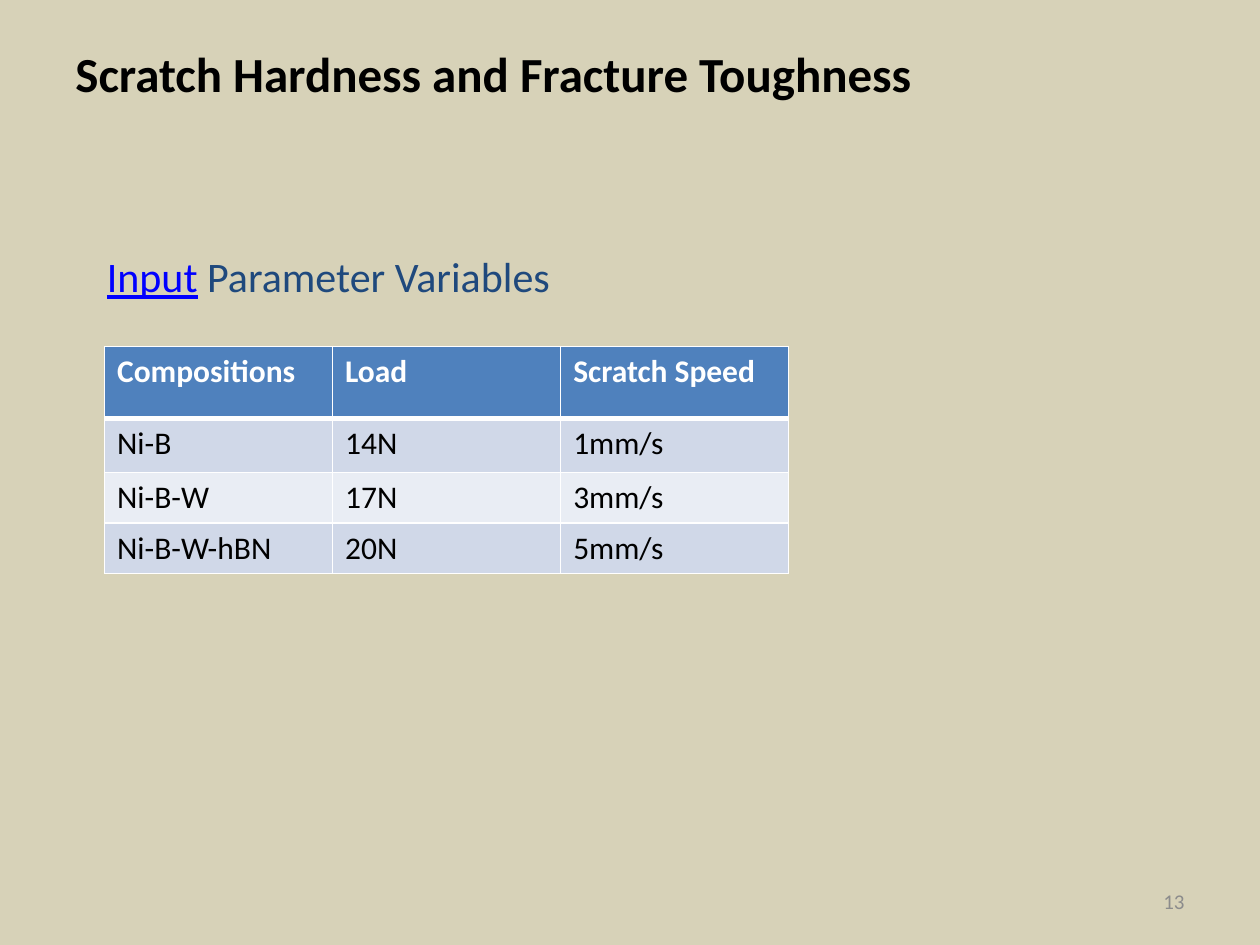
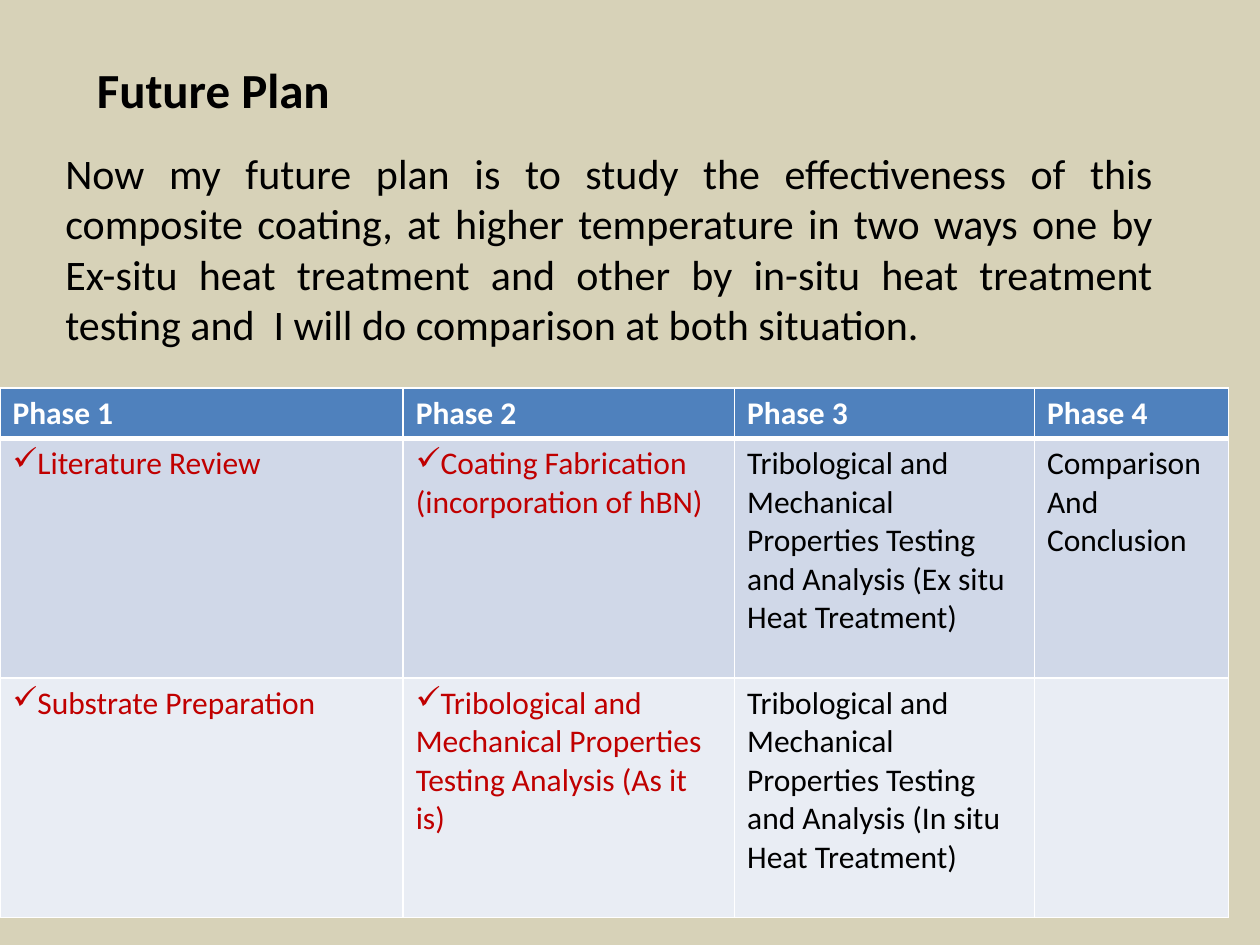
from lxml import etree
from pptx import Presentation
from pptx.dml.color import RGBColor
from pptx.enum.text import MSO_ANCHOR, PP_ALIGN
from pptx.oxml.ns import qn
from pptx.util import Inches, Pt

RIGHT, JUSTIFY = PP_ALIGN.RIGHT, PP_ALIGN.JUSTIFY
TOP, MIDDLE = MSO_ANCHOR.TOP, MSO_ANCHOR.MIDDLE

COLORS = {
    "background": "D7D2B8",
    "text": "000000",
    "subtitle": "1F497D",
    "input": "0000FF",
    "number": "8C8C8C",
    "white": "FFFFFF",
    "header": "4F81BD",
    "odd row": "D0D8E8",
    "even row": "E9EDF4",
    "done": "C00000",
}
FORMATS = {
    "title": {"size": Pt(28), "bold": True},
    "body": {"size": Pt(24)},
    "input": {"size": Pt(24), "underline": True},
    "number": {"size": Pt(12)},
    "header": {"size": Pt(18), "bold": True},
    "cell": {"size": Pt(18), "bold": False},
}
CHECK = "✓"


def rgb(color):
    return RGBColor.from_string(COLORS[color])


class SlideBuilder:
    font_name = "Calibri"

    def __init__(self, deck):
        self.deck = deck
        self.slide = None

    def new_slide(self):
        self.slide = self.deck.slides.add_slide(self.deck.slide_layouts[6])
        fill = self.slide.background.fill
        fill.solid()
        fill.fore_color.rgb = rgb("background")

    def add_span(self, para, text, style, color):
        span = para.add_run()
        span.text = text
        for name, value in FORMATS[style].items():
            setattr(span.font, name, value)
        span.font.name = self.font_name
        span.font.color.rgb = rgb(color)

    def add_text(self, place, spans, align=None, anchor=TOP):
        """Add a one-paragraph box; each span is (text, style, color)."""
        box = self.slide.shapes.add_textbox(*map(Inches, place))
        frame = box.text_frame
        frame.word_wrap = True
        frame.vertical_anchor = anchor
        para = frame.paragraphs[0]
        para.alignment = align
        for span in spans:
            self.add_span(para, *span)

    def add_title(self, left, top, width, text):
        self.add_text((left, top, width, 0.66), [(text, "title", "text")])

    def add_bullet(self, para):
        properties = para._p.get_or_add_pPr()
        properties.set("marL", "0")
        properties.set("indent", "0")
        etree.SubElement(properties, qn("a:buChar"), char=CHECK)

    def add_borders(self, cell, widths):
        """Draw white left, right, top and bottom borders, widths in points."""
        properties = cell._tc.get_or_add_tcPr()
        for side, width in zip("LRTB", widths):
            line = etree.SubElement(properties, qn(f"a:ln{side}"), w=str(Pt(width)))
            fill = etree.SubElement(line, qn("a:solidFill"))
            etree.SubElement(fill, qn("a:srgbClr"), val=COLORS["white"])

    def fill_cell(self, cell, text, row):
        """Write a cell; a leading check mark becomes the bullet of a done task."""
        is_header = row == 0
        widths = (1, 1, 3 if row == 1 else 1, 3 if is_header else 1)
        self.add_borders(cell, widths)
        cell.fill.solid()
        band = "header" if is_header else "odd row" if row % 2 else "even row"
        cell.fill.fore_color.rgb = rgb(band)
        if not text:
            return
        done = text.startswith(CHECK)
        color = "white" if is_header else "done" if done else "text"
        for index, line in enumerate(text.removeprefix(CHECK).split("\n")):
            frame = cell.text_frame
            para = frame.add_paragraph() if index else frame.paragraphs[0]
            if done and index == 0:
                self.add_bullet(para)
            self.add_span(para, line, "header" if is_header else "cell", color)

    def add_table(self, left, top, widths, heights, rows):
        place = (left, top, sum(widths), sum(heights))
        table = self.slide.shapes.add_table(
            len(rows), len(widths), *map(Inches, place)).table
        for column, width in zip(table.columns, widths):
            column.width = Inches(width)
        for index, (height, texts) in enumerate(zip(heights, rows)):
            table.rows[index].height = Inches(height)
            for cell, text in zip(table.rows[index].cells, texts):
                self.fill_cell(cell, text, index)


def build_parameters(builder):
    builder.new_slide()
    builder.add_text((7.17, 6.95, 2.33, 0.4), [("13", "number", "number")],
                     RIGHT, MIDDLE)
    builder.add_title(0.5, 0.3, 6.92, "Scratch Hardness and Fracture Toughness")
    builder.add_text((0.75, 1.94, 3.83, 0.81), [
        ("Input", "input", "input"),
        (" Parameter Variables", "body", "subtitle"),
    ])
    builder.add_table(0.83, 2.75, [1.81] * 3, [0.57, 0.43, 0.4, 0.4], [
        ("Compositions", "Load", "Scratch Speed"),
        ("Ni-B", "14N", "1mm/s"),
        ("Ni-B-W", "17N", "3mm/s"),
        ("Ni-B-W-hBN", "20N", "5mm/s"),
    ])


def build_future_plan(builder):
    testing = "Tribological and Mechanical Properties Testing"
    builder.new_slide()
    builder.add_title(0.67, 0.42, 2.92, "Future Plan")
    builder.add_table(0, 3.08, [3.2, 2.63, 2.38, 1.54], [0.4, 1.9, 1.9], [
        [f"Phase {number}" for number in range(1, 5)],
        (f"{CHECK}Literature Review",
         f"{CHECK}Coating Fabrication\n(incorporation of hBN)",
         f"{testing} and Analysis (Ex situ Heat Treatment)",
         "Comparison\nAnd Conclusion"),
        (f"{CHECK}Substrate Preparation",
         f"{CHECK}{testing} Analysis (As it is)",
         f"{testing} and Analysis (In situ Heat Treatment)",
         ""),
    ])
    plan = (
        "Now my future plan is to study the effectiveness of this composite "
        "coating, at higher temperature in two ways one by Ex-situ heat "
        "treatment and other by in-situ heat treatment testing and  I will do "
        "comparison at both situation."
    )
    builder.add_text((0.42, 1.12, 8.83, 1.72), [(plan, "body", "text")], JUSTIFY)


def main():
    deck = Presentation()
    deck.slide_width, deck.slide_height = Inches(10), Inches(7.5)
    builder = SlideBuilder(deck)
    build_parameters(builder)
    build_future_plan(builder)
    deck.save("out.pptx")


if __name__ == "__main__":
    main()
